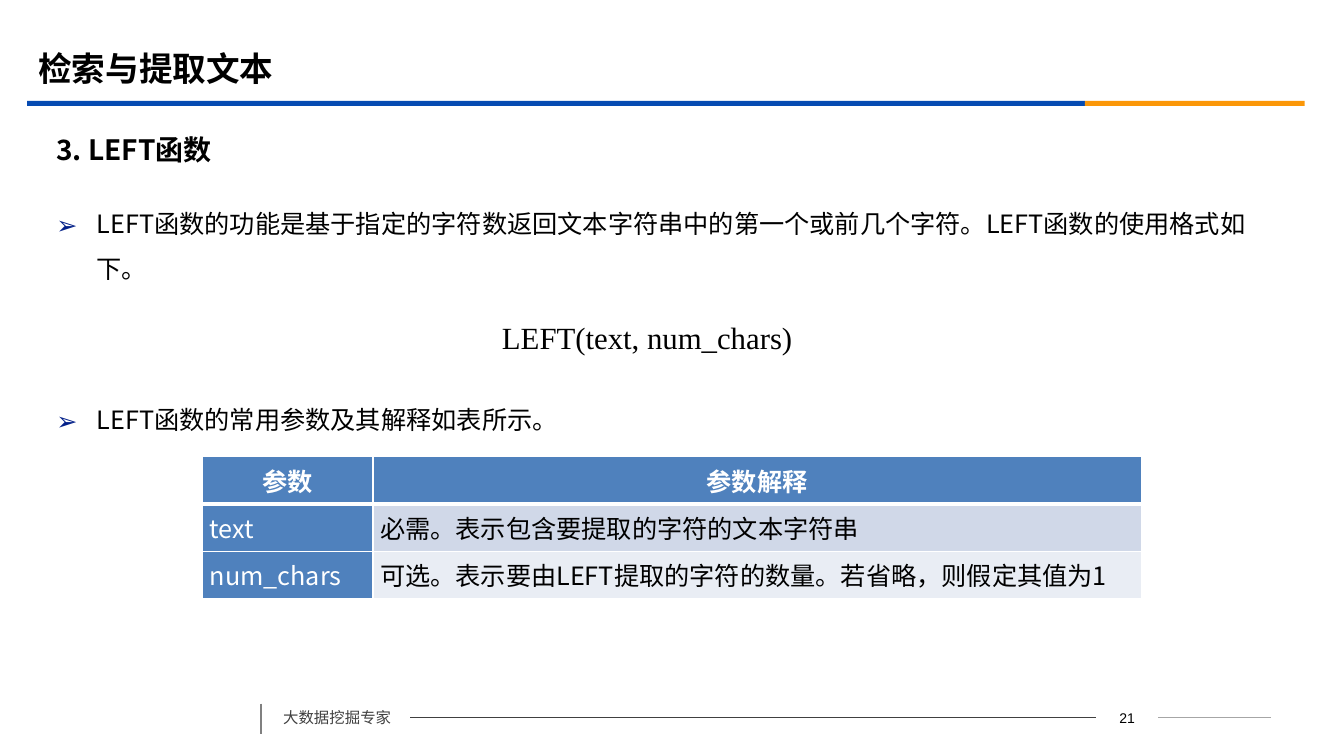
import pptx
import pptx.dml.color
import pptx.enum.shapes
import pptx.enum.text
import pptx.oxml
import pptx.oxml.ns
import pptx.util

ALIGN = pptx.enum.text.PP_ALIGN
ANCHOR = pptx.enum.text.MSO_ANCHOR
SANS, SERIF = "Noto Sans CJK SC", "Times New Roman"
HUES = {
    "black": "000000", "white": "FFFFFF", "blue": "064BB2", "gold": "FB9708",
    "dark": "404040", "gray": "808080", "pale": "A6A6A6", "navy": "032089",
    "head": "4F81BD", "odd": "D0D8E8", "even": "E9EDF4",
}
# The grid has ten cells to the inch, across and down
COLS, ROWS = 133.3, 75
CELL = pptx.util.Inches(0.1)


def span(count):
    return round(count * CELL)


def hue(name):
    return pptx.dml.color.RGBColor.from_string(HUES[name])


def node(tag, inner="", **attrs):
    pairs = "".join(f' {key}="{val}"' for key, val in attrs.items())
    space = pptx.oxml.ns.nsdecls("a")
    return pptx.oxml.parse_xml(f"<a:{tag} {space}{pairs}>{inner}</a:{tag}>")


def solid(name):
    return f'<a:solidFill><a:srgbClr val="{HUES[name]}"/></a:solidFill>'


def write(para, text, size=18, font=SANS, color="black", bold=False,
          align=ALIGN.LEFT, lead=None, above=0, left=0, mark=None):
    """Put text in a paragraph; left is the indent in grid cells."""
    run = para.add_run()
    run.text = text
    run.font.size = pptx.util.Pt(size)
    run.font.name = font
    run.font.bold = bold
    run.font.color.rgb = hue(color)
    run.font._element.append(node("ea", typeface=SANS))
    para.alignment = align
    para.space_before = pptx.util.Pt(above)
    if lead:
        para.line_spacing = lead
    props = para._p.get_or_add_pPr()
    props.set("marL", str(span(left)))
    props.set("indent", str(-span(left) if mark else 0))
    if mark:
        props.append(node("buClr", f'<a:srgbClr val="{HUES["navy"]}"/>'))
        props.append(node("buFont", typeface=SANS))
        props.append(node("buChar", char=mark))
    else:
        props.append(node("buNone"))


class Page:
    def __init__(self, deck):
        self.slide = deck.slides.add_slide(deck.slide_layouts[3])
        self.shapes = self.slide.shapes

    def frame(self, shape, anchor):
        body = shape.text_frame
        body.word_wrap = True
        body.auto_size = pptx.enum.text.MSO_AUTO_SIZE.NONE
        body.vertical_anchor = anchor
        return body

    def holder(self, index, box, items, anchor=ANCHOR.TOP):
        shape = self.slide.placeholders[index]
        shape.left, shape.top, shape.width, shape.height = map(span, box)
        body = self.frame(shape, anchor)
        for rank, (text, style) in enumerate(items):
            para = body.add_paragraph() if rank else body.paragraphs[0]
            write(para, text, **style)

    def label(self, box, text, **style):
        shape = self.shapes.add_textbox(*map(span, box))
        write(self.frame(shape, ANCHOR.TOP).paragraphs[0], text, **style)

    def bar(self, box, color):
        kind = pptx.enum.shapes.MSO_SHAPE.RECTANGLE
        shape = self.shapes.add_shape(kind, *map(span, box))
        shape.shadow.inherit = False
        shape.fill.solid()
        shape.fill.fore_color.rgb = hue(color)
        shape.line.fill.background()

    def rule(self, ends, color, width=0.75):
        kind = pptx.enum.shapes.MSO_CONNECTOR.STRAIGHT
        line = self.shapes.add_connector(kind, *map(span, ends))
        line.line.color.rgb = hue(color)
        line.line.width = pptx.util.Pt(width)
        line._element.spPr.append(node("effectLst"))

    def table(self, left, top, wides, tall, data):
        table = self.shapes.add_table(
            len(data), len(wides), span(left), span(top),
            span(sum(wides)), span(tall * len(data))).table
        for col, wide in zip(table.columns, wides):
            col.width = span(wide)
        for row, texts in enumerate(data):
            table.rows[row].height = span(tall)
            for col, text in enumerate(texts):
                self.fill(table.cell(row, col), text, row, col)

    def fill(self, cell, text, row, col):
        top = row == 0
        key = top or col == 0
        cell.margin_left = cell.margin_right = span(0.7)
        cell.margin_top = cell.margin_bottom = 0
        cell.vertical_anchor = ANCHOR.MIDDLE
        write(cell.text_frame.paragraphs[0], text, bold=top,
              color="white" if key else "black",
              align=ALIGN.CENTER if top else ALIGN.JUSTIFY)
        props = cell._tc.get_or_add_tcPr()
        for side in "LRTB":
            thick = (side == "B" and row == 0) or (side == "T" and row == 1)
            width = pptx.util.Pt(3 if thick else 1)
            props.append(node("ln" + side, solid("white"), w=int(width)))
        cell.fill.solid()
        shade = "head" if key else "odd" if row % 2 else "even"
        cell.fill.fore_color.rgb = hue(shade)


def main():
    deck = pptx.Presentation()
    deck.slide_width, deck.slide_height = span(COLS), span(ROWS)
    page = Page(deck)

    # Footer and page number
    page.rule((25.9, 69.8, 25.9, 72.8), "gray", 1.25)
    page.label((27.1, 69.4, 13.6, 3.8), "大数据挖掘专家",
               size=11, color="dark", lead=1.2)
    page.rule((40.7, 71.2, 108.7, 71.2), "dark")
    page.label((108.7, 69.9, 6.2, 2.5), "21",
               size=10, font="Arial", align=ALIGN.CENTER)
    page.rule((114.9, 71.2, 126.1, 71.2), "pale")

    # Title with its two-tone bar
    page.bar((2.7, 10, 104.9, 0.5), "blue")
    page.bar((107.6, 10, 21.8, 0.5), "gold")
    page.holder(0, (2.8, 3.9, 120, 5.8), [
        ("检索与提取文本", dict(size=24, font=SERIF, bold=True)),
    ], ANCHOR.MIDDLE)

    # Heading and list
    page.holder(1, (4.6, 12.5, 121.5, 4.7), [
        ("3. LEFT函数", dict(size=20, bold=True)),
    ], ANCHOR.MIDDLE)
    point = dict(left=4, mark="➢", lead=pptx.util.Pt(32))
    page.holder(2, (4.6, 18.7, 121.5, 47.5), [
        ("LEFT函数的功能是基于指定的字符数返回文本字符串中的第一个或前几个字符。"
         "LEFT函数的使用格式如下。", dict(point, above=3.6)),
        ("LEFT函数的常用参数及其解释如表所示。", dict(point, above=76)),
    ])

    # Formula and its arguments
    page.label((44.9, 31.1, 43.5, 4.7), "LEFT(text, num_chars)",
               size=22, font=SERIF, left=3.9)
    page.table(20.1, 45.3, (16.9, 76.2), 4.7, [
        ("参数", "参数解释"),
        ("text", "必需。表示包含要提取的字符的文本字符串"),
        ("num_chars", "可选。表示要由LEFT提取的字符的数量。若省略，则假定其值为1"),
    ])
    deck.save("out.pptx")


if __name__ == "__main__":
    main()
